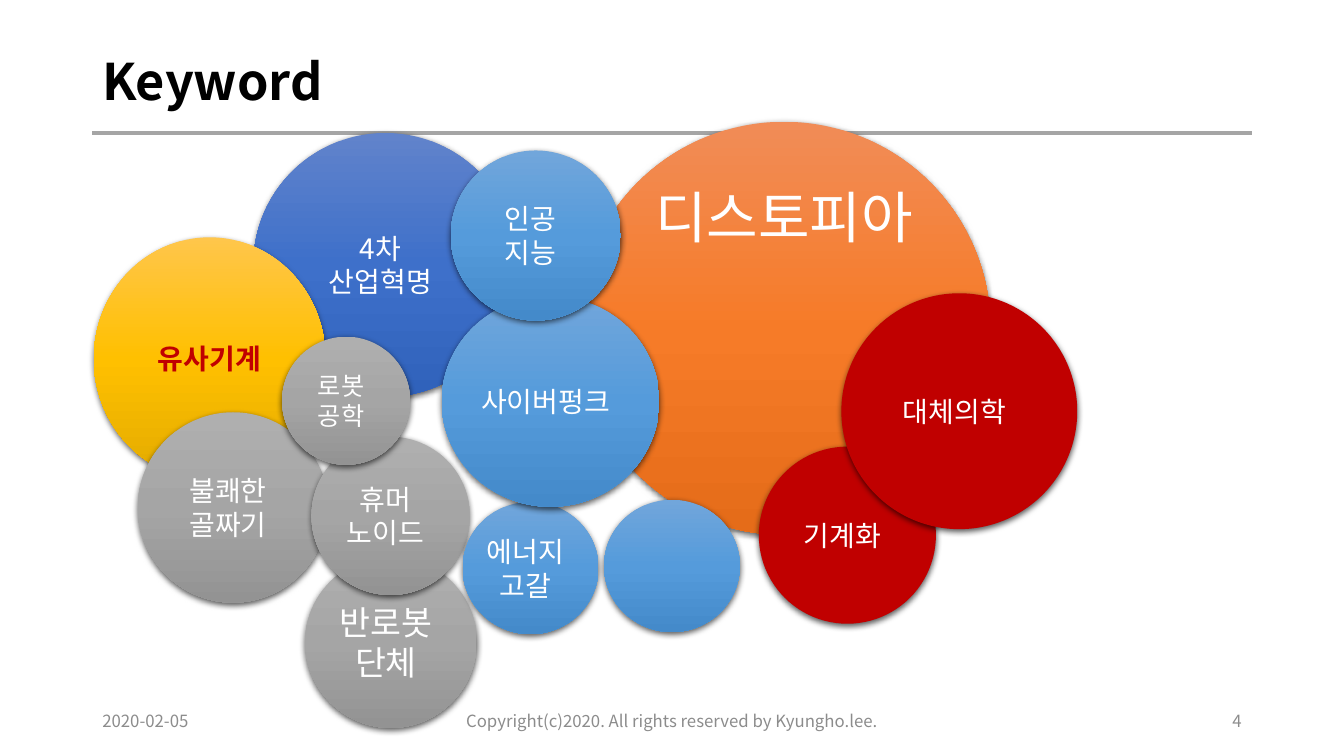
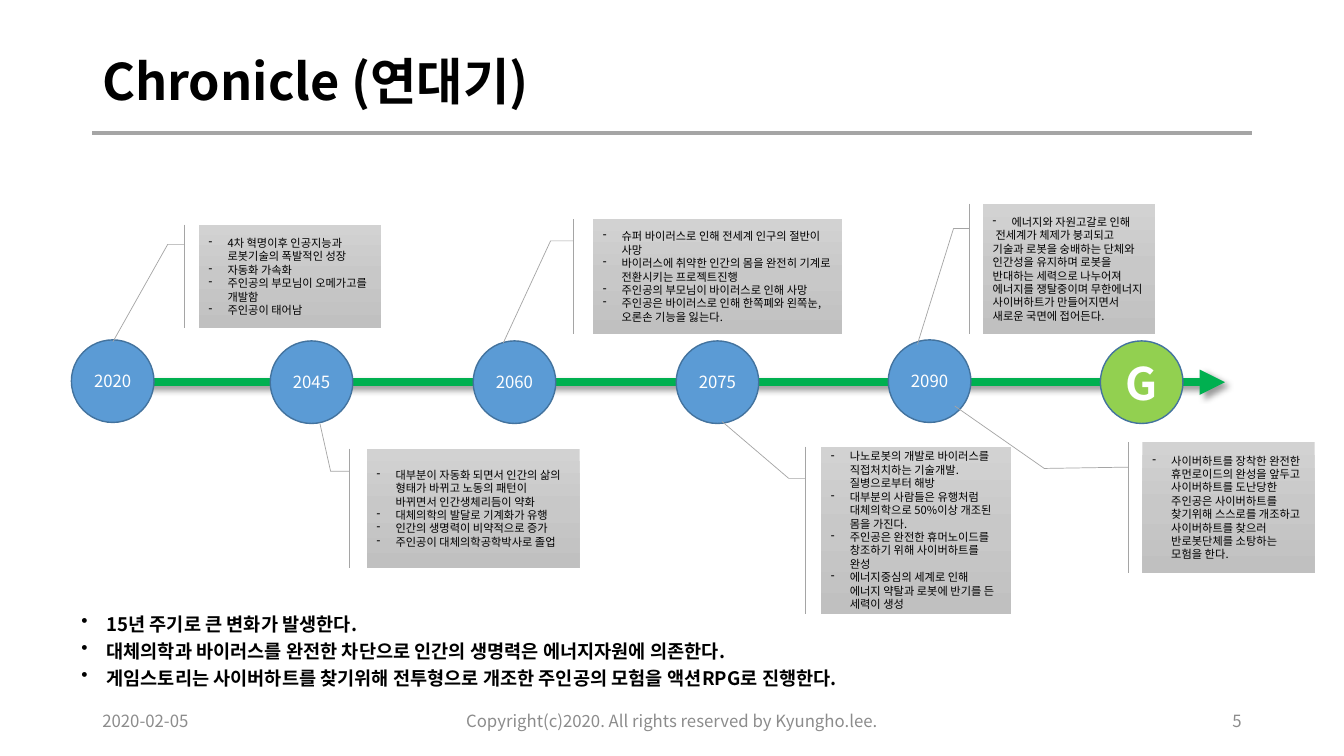
from copy import deepcopy

from lxml import etree
from pptx import Presentation
from pptx.dml.color import RGBColor
from pptx.enum import shapes, text
from pptx.oxml import ns
from pptx.util import Pt

FONT = "Noto Sans CJK KR"
BLACK = RGBColor(0x00, 0x00, 0x00)
WHITE = RGBColor(0xFF, 0xFF, 0xFF)
FOOTER_GRAY = RGBColor(0x8C, 0x8C, 0x8C)
RULE_GRAY = RGBColor(0xA5, 0xA5, 0xA5)
RED = RGBColor(0xC0, 0x00, 0x00)
ARROW_GREEN = RGBColor(0x00, 0xB0, 0x50)
GOAL_GREEN = RGBColor(0x92, 0xD0, 0x50)
YEAR_BLUE = RGBColor(0x5B, 0x9B, 0xD5)
YEAR_EDGE = RGBColor(0x43, 0x73, 0x9E)


def shades(*codes):
    return [RGBColor.from_string(code) for code in codes]


# Gradients, from top to bottom
ORANGE = shades("F18C57", "F67B28", "E56C19")
NAVY = shades("6183CB", "3E70CA", "3062BB")
YELLOW = shades("FFC64B", "FFC000", "E3AB00")
GRAY = shades("AFAFAF", "A5A5A5", "939393")
BLUE = shades("71A6DB", "559BDB", "448ACA")
NOTE_GRAY = shades("D2D2D2", "C8C8C8", "C0C0C0")

LEFT, CENTER, RIGHT = text.PP_ALIGN.LEFT, text.PP_ALIGN.CENTER, text.PP_ALIGN.RIGHT
TOP, MIDDLE = text.MSO_ANCHOR.TOP, text.MSO_ANCHOR.MIDDLE


# Shared drawing helpers
def add_child(parent, tag, **attributes):
    child = etree.SubElement(parent, ns.qn(tag))
    for name, value in attributes.items():
        child.set(name, str(value))
    return child


def add_shadow(effects, blur, distance, degrees, opacity):
    shadow = add_child(effects, "a:outerShdw", blurRad=Pt(blur), dist=Pt(distance),
                       dir=degrees * 60000, algn="ctr", rotWithShape=0)
    color = add_child(shadow, "a:srgbClr", val="000000")
    add_child(color, "a:alpha", val=opacity * 1000)


def paint(shape, color):
    """Fill with one colour, or with a vertical gradient of three."""
    if isinstance(color, RGBColor):
        shape.fill.solid()
        shape.fill.fore_color.rgb = color
        return
    shape.fill.gradient()
    shape.fill.gradient_angle = 270
    stop_list = shape._element.spPr.find(".//" + ns.qn("a:gsLst"))
    stop_list.insert(1, deepcopy(stop_list[0]))
    for stop, shade, position in zip(shape.fill.gradient_stops, color, (0, 0.5, 1)):
        stop.color.rgb = shade
        stop.position = position


def write(shape, lines, size, color, bold=False, align=LEFT, anchor=MIDDLE):
    frame = shape.text_frame
    frame.word_wrap = True
    frame.vertical_anchor = anchor
    frame.text = "\n".join(lines)
    for para in frame.paragraphs:
        para.alignment = align
        for span in para.runs:
            span.font.name = FONT
            span.font.size = Pt(size)
            span.font.bold = bold
            span.font.color.rgb = color
            add_child(span.font._element, "a:ea", typeface=FONT)
    return frame


def indent(para, margin, first, bullet=None):
    properties = para._p.get_or_add_pPr()
    properties.set("marL", str(Pt(margin)))
    properties.set("indent", str(Pt(first)))
    if bullet:
        add_child(properties, "a:buChar", char=bullet)


def add_text(page, box, lines, size, color, **style):
    area = page.shapes.add_textbox(*map(Pt, box))
    return write(area, lines, size, color, **style)


def add_filled(page, kind, box, color):
    shape = page.shapes.add_shape(kind, *map(Pt, box))
    shape.shadow.inherit = False
    paint(shape, color)
    return shape


def add_line(page, ends, color, width):
    line = page.shapes.add_connector(shapes.MSO_CONNECTOR.STRAIGHT, *map(Pt, ends))
    line.line.color.rgb = color
    line.line.width = Pt(width)
    effects = add_child(line._element.spPr, "a:effectLst")
    return line, effects


# Title, rule and footer of every slide
def add_page(deck, title, number):
    page = deck.slides.add_slide(deck.slide_layouts[6])
    add_line(page, (66, 95, 894, 95), RULE_GRAY, 2.25)
    frame = add_text(page, (66, 29, 828, 62.5), [title], 36, BLACK, bold=True)
    frame.paragraphs[0].line_spacing = 0.9
    footers = [
        (66, 216, "2020-02-05", LEFT),
        (318, 324, "Copyright(c)2020. All rights reserved by Kyungho.lee.", CENTER),
        (678, 216, str(number), RIGHT),
    ]
    for left, width, words, align in footers:
        add_text(page, (left, 500.5, width, 28.75), [words], 12, FOOTER_GRAY, align=align)
    return page


# Keyword bubbles: left, top, width, height, fill, lines, text size
BUBBLES = [
    (181, 95, 188.5, 188.5, NAVY, ["4차", "산업혁명"], 20),
    (67, 169.5, 165.5, 173.5, YELLOW, ["유사기계"], 20),
    (98.5, 294.5, 136, 136, GRAY, ["불쾌한", "골짜기"], 20),
    (218, 397.5, 122.5, 122.5, GRAY, ["반로봇단체"], 24),
    (222.5, 312, 113, 113, GRAY, ["휴머", "노이드"], 20),
    (330.5, 358.5, 97, 94.5, BLUE, ["에너지", "고갈"], 20),
    (542, 319, 126.5, 126.5, RED, ["기계화"], 20),
    (201.5, 240.5, 91.5, 91.5, GRAY, ["로봇", "공학"], 18),
    (431.5, 357, 97, 94.5, BLUE, [], 20),
    (601, 209.5, 168.5, 168.5, RED, ["대체의학"], 20),
    (315.5, 211.5, 155.5, 150.5, BLUE, ["사이버펑크"], 20),
    (322, 107.5, 121.5, 121.5, BLUE, ["인공", "지능"], 20),
]


def add_bubble(page, box, fill, lines, size, color=WHITE, bold=False,
               anchor=MIDDLE, right_inset=7.2):
    bubble = add_filled(page, shapes.MSO_SHAPE.OVAL, box, fill)
    bubble.line.fill.background()
    add_shadow(bubble._element.spPr.find(ns.qn("a:effectLst")), 4.5, 1.5, 90, 63)
    if lines:
        frame = write(bubble, lines, size, color, bold, CENTER, anchor)
        frame.margin_left = frame.margin_top = frame.margin_bottom = 0
        frame.margin_right = Pt(right_inset)


def build_keywords(deck):
    page = add_page(deck, "Keyword", 4)
    add_bubble(page, (412.5, 87, 295, 295), ORANGE, ["디스토피아"], 40,
               anchor=TOP, right_inset=0)
    for *box, fill, lines, size in BUBBLES:
        if fill is YELLOW:
            add_bubble(page, box, fill, lines, size, RED, bold=True, right_inset=0)
        else:
            add_bubble(page, box, fill, lines, size)


# Timeline: circles are (left, top, label); notes are (box, elbow, tip, lines),
# with elbow and tip as (down, across) shares of the box
CIRCLE = 59
YEARS = [(51, 242.75, "2020"), (193, 243.5, "2045"), (338, 243.5, "2060"),
         (483, 243.5, "2075"), (634.5, 242.75, "2090")]
ELBOW = (0.19, -0.17)
NOTES = [
    ((142, 160.5, 130.5, 74), ELBOW, (1.13, -0.47), [
        "4차 혁명이후 인공지능과 로봇기술의 폭발적인 성장",
        "자동화 가속화",
        "주인공의 부모님이 오메가고를 개발함",
        "주인공이 태어남"]),
    ((262, 320.5, 152, 85), ELBOW, (-0.21, -0.22), [
        "대부분이 자동화 되면서 인간의 삶의 형태가 바뀌고 노동의 패턴이 "
        "바뀌면서 인간생체리듬이 약화",
        "대체의학의 발달로 기계화가 유행",
        "인간의 생명력이 비약적으로 증가",
        "주인공이 대체의학공학박사로 졸업"]),
    ((586.5, 319, 136, 119.5), ELBOW, (-0.15, -0.52), [
        "나노로봇의 개발로 바이러스를 직접처치하는 기술개발. 질병으로부터 해방",
        "대부분의 사람들은 유행처럼 대체의학으로 50%이상 개조된 몸을 가진다.",
        "주인공은 완전한 휴머노이드를 창조하기 위해 사이버하트를 완성",
        "에너지중심의 세계로 인해 에너지 약탈과 로봇에 반기를 든 세력이 생성"]),
    ((423.5, 156.5, 178, 82), ELBOW, (1.08, -0.36), [
        "슈퍼 바이러스로 인해 전세계 인구의 절반이 사망",
        "바이러스에 취약한 인간의 몸을 완전히 기계로 전환시키는 프로젝트진행",
        "주인공의 부모님이 바이러스로 인해 사망",
        "주인공은 바이러스로 인해 한쪽폐와 왼쪽눈, 오론손 기능을 잃는다."]),
    ((816, 316, 123, 93), (0.2, -0.57), (-0.28, -1.09), [
        "사이버하트를 장착한 완전한 휴먼로이드의 완성을 앞두고 사이버하트를 "
        "도난당한 주인공은 사이버하트를 찾기위해 스스로를 개조하고 사이버하트를 "
        "찾으러 반로봇단체를 소탕하는 모험을 한다."]),
]
ENERGY_NOTE = ((702, 145.5, 123, 93), ELBOW, (1.08, -0.38), [
    "에너지와 자원고갈로 인해",
    "전세계가 체제가 붕괴되고 기술과 로봇을 숭배하는 단체와 인간성을 유지하며 "
    "로봇을 반대하는 세력으로 나누어져 에너지를 쟁탈중이며 무한에너지 "
    "사이버하트가 만들어지면서 새로운 국면에 접어든다."])
SUMMARY = [
    "15년 주기로 큰 변화가 발생한다.",
    "대체의학과 바이러스를 완전한 차단으로 인간의 생명력은 에너지자원에 의존한다.",
    "게임스토리는 사이버하트를 찾기위해 전투형으로 개조한 주인공의 모험을 "
    "액션RPG로 진행한다.",
]


def add_circle(page, left, top, label, fill=YEAR_BLUE, size=12, bold=False):
    circle = add_filled(page, shapes.MSO_SHAPE.OVAL, (left, top, CIRCLE, CIRCLE), fill)
    circle.line.color.rgb = YEAR_EDGE
    circle.line.width = Pt(1)
    write(circle, [label], size, WHITE, bold, CENTER)


def add_note(page, box, elbow, tip, lines):
    note = add_filled(page, shapes.MSO_SHAPE.LINE_CALLOUT_2_ACCENT_BAR, box, NOTE_GRAY)
    note.line.color.rgb = RULE_GRAY
    note.line.width = Pt(0.5)
    for index, share in enumerate((0.19, -0.08, *elbow, *tip)):
        note.adjustments[index] = share
    paragraphs = write(note, lines, 8, BLACK).paragraphs
    for para in paragraphs:
        indent(para, 13.5, -13.5, "-")
    return paragraphs


def add_summary(page, box):
    frame = add_text(page, box, SUMMARY, 13.3, BLACK, bold=True, anchor=TOP)
    for index, para in enumerate(frame.paragraphs):
        indent(para, 18, -18, "•")
        para.line_spacing = 0.7
        para.space_before = Pt(8 if index else 0)


def build_chronicle(deck):
    page = add_page(deck, "Chronicle (연대기)", 5)
    add_summary(page, (51, 438.5, 843, 62.5))

    # Time arrow
    arrow, effects = add_line(page, (66, 273, 875, 273), ARROW_GREEN, 6)
    add_child(arrow._element.spPr.find(ns.qn("a:ln")), "a:tailEnd", type="triangle")
    add_shadow(effects, 4, 3, 45, 40)

    # Years and goal
    for year in YEARS:
        add_circle(page, *year)
    add_circle(page, 786, 243.5, "G", GOAL_GREEN, 32, True)

    # Notes; the energy note goes on as plain text after its first line
    for note in NOTES:
        add_note(page, *note)
    story = add_note(page, *ENERGY_NOTE)[1]
    properties = story._p.get_or_add_pPr()
    properties.remove(properties.find(ns.qn("a:buChar")))
    indent(story, 0, 2)


def main():
    deck = Presentation()
    deck.slide_width, deck.slide_height = Pt(960), Pt(540)
    build_keywords(deck)
    build_chronicle(deck)
    deck.save("out.pptx")


if __name__ == "__main__":
    main()
